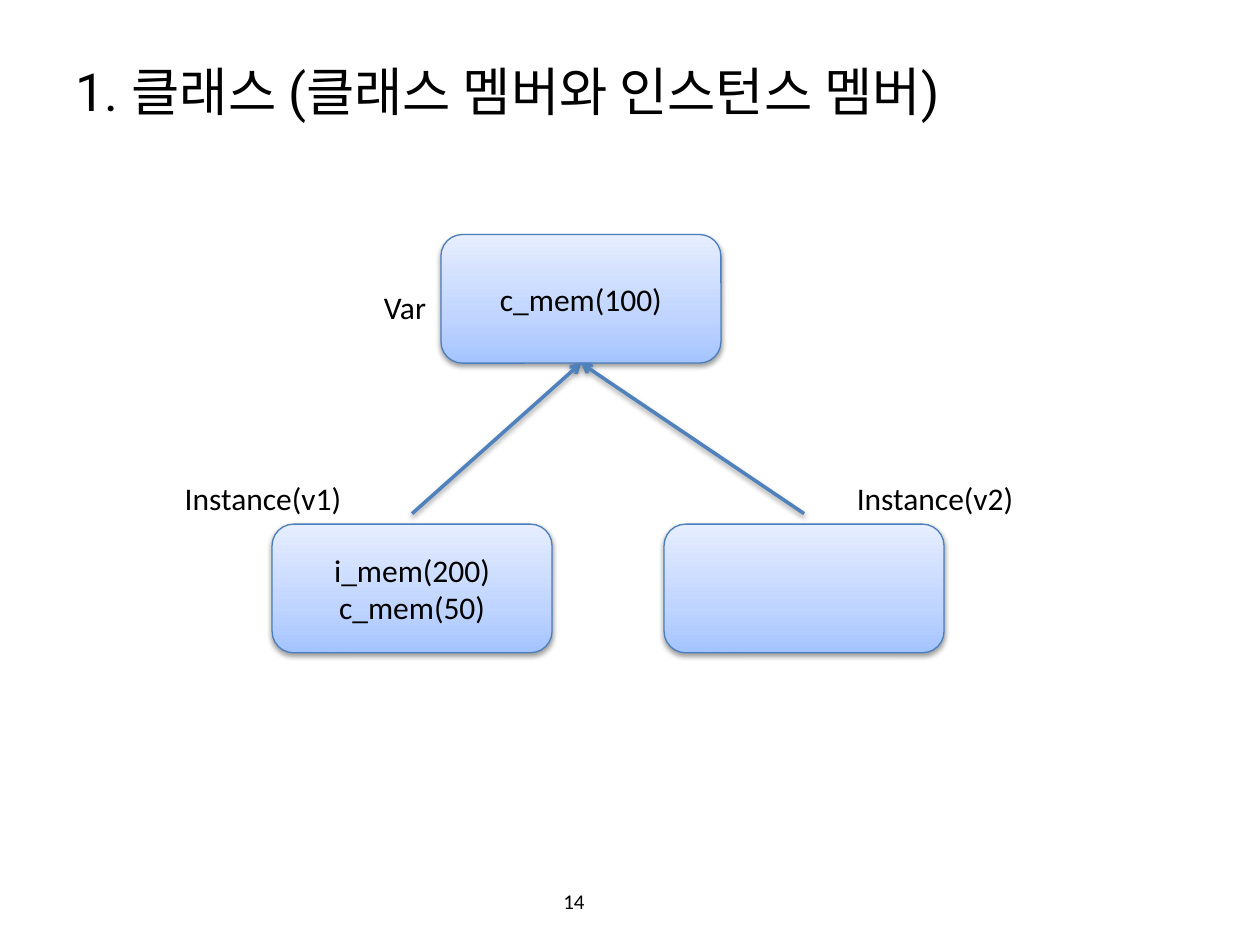
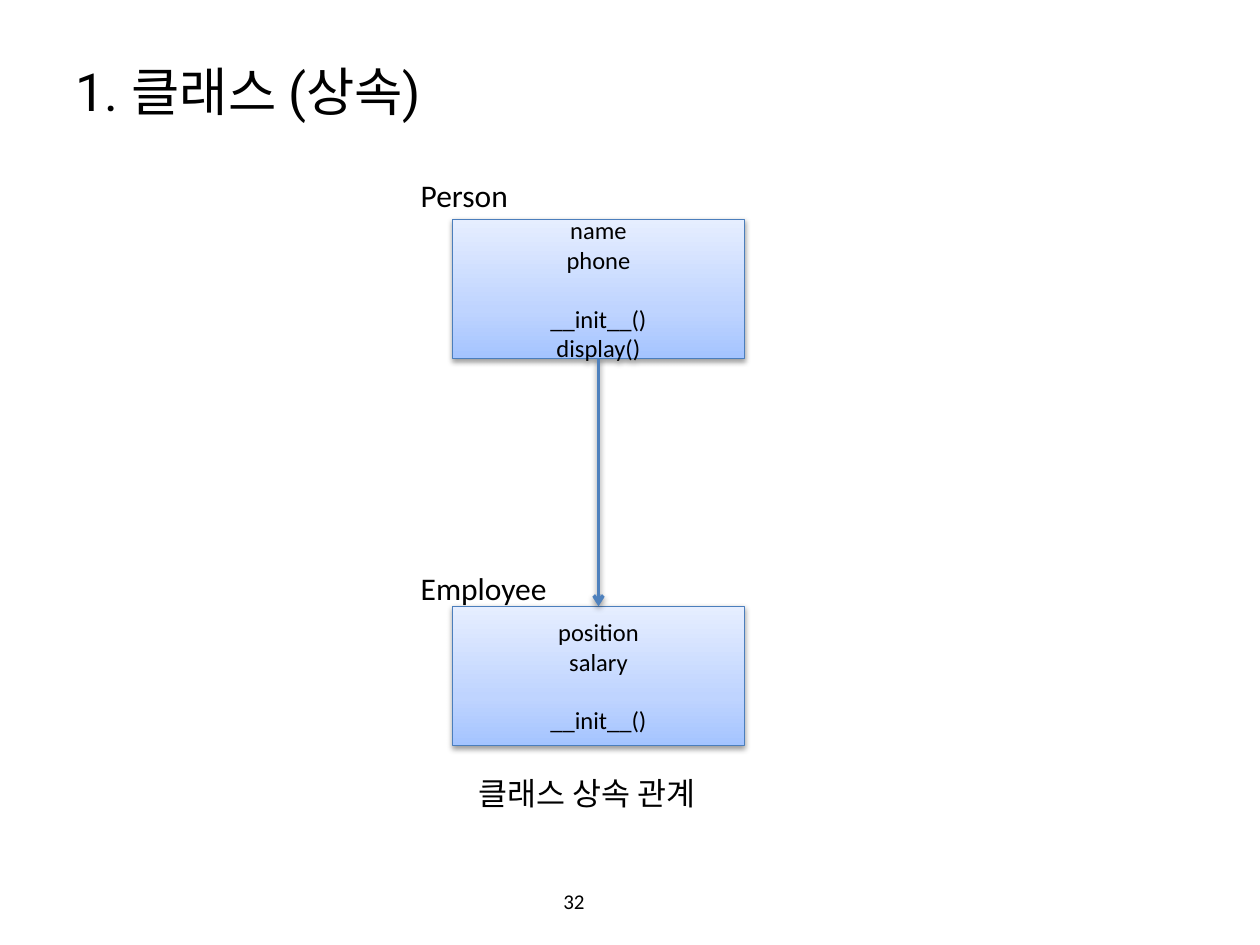
from dataclasses import dataclass

from lxml.etree import SubElement
from pptx import Presentation
from pptx.dml.color import RGBColor
from pptx.enum.shapes import MSO_CONNECTOR, MSO_SHAPE
from pptx.enum.text import MSO_ANCHOR, MSO_AUTO_SIZE, PP_ALIGN
from pptx.oxml import parse_xml
from pptx.oxml.ns import nsdecls, qn
from pptx.slide import Slide
from pptx.text.text import TextFrame
from pptx.util import Pt


# Theme shared by both slides
@dataclass(frozen=True)
class Theme:
    text: str = "000000"
    outline: str = "4B7EBC"
    arrow: str = "4F81BD"
    gradient: tuple = ((0, "A4C4FF"), (35, "BFD4FF"), (100, "E6EEFF"))
    title_font: str = "Roboto"
    body_font: str = "Calibri"
    title_size: float = 30
    label_size: float = 18
    member_size: float = 14
    number_size: float = 12
    outline_width: float = 0.75
    arrow_width: float = 2


THEME = Theme()


# Repeated elements; all lengths are in points
@dataclass(frozen=True)
class Area:
    left: float
    top: float
    width: float
    height: float

    @property
    def center(self) -> float:
        return self.left + self.width / 2

    @property
    def bottom(self) -> float:
        return self.top + self.height


@dataclass(frozen=True)
class Box:
    area: Area
    groups: tuple[tuple[str, ...], ...] = ()
    size: float = THEME.label_size
    shape_type: MSO_SHAPE = MSO_SHAPE.ROUNDED_RECTANGLE


@dataclass(frozen=True)
class Label:
    text: str
    left: float
    top: float
    width: float


TITLE_AREA = Area(36, 21.5, 648, 60.5)
NUMBER_AREA = Area(244, 500.5, 168, 28.8)
LABEL_HEIGHT = 29
LINE_SPACING = 1.2


# Text helpers
def add_text(frame: TextFrame, groups: tuple[tuple[str, ...], ...], size: float,
             font: str = THEME.body_font, alignment: PP_ALIGN = PP_ALIGN.LEFT) -> None:
    """Write one paragraph per line, with a line's gap between groups."""
    frame.word_wrap = True
    paragraph = None
    for group_index, group in enumerate(groups):
        for line_index, line in enumerate(group):
            paragraph = frame.add_paragraph() if paragraph else frame.paragraphs[0]
            paragraph.alignment = alignment
            if group_index and not line_index:
                paragraph.space_before = Pt(size * LINE_SPACING)
            run = paragraph.add_run()
            run.text = line
            run.font.name = font
            run.font.size = Pt(size)
            run.font.color.rgb = RGBColor.from_string(THEME.text)


def add_text_box(slide: Slide, area: Area) -> TextFrame:
    text_box = slide.shapes.add_textbox(
        Pt(area.left), Pt(area.top), Pt(area.width), Pt(area.height))
    return text_box.text_frame


def add_label(slide: Slide, label: Label) -> None:
    frame = add_text_box(slide, Area(label.left, label.top, label.width, LABEL_HEIGHT))
    add_text(frame, ((label.text,),), THEME.label_size)
    frame.auto_size = MSO_AUTO_SIZE.SHAPE_TO_FIT_TEXT


# Drawing helpers
def add_shadow(properties) -> None:
    for effects in properties.findall(qn("a:effectLst")):
        properties.remove(effects)
    properties.append(parse_xml(
        f'<a:effectLst {nsdecls("a")}>'
        '<a:outerShdw blurRad="40000" dist="20000" dir="5400000" rotWithShape="0">'
        '<a:srgbClr val="000000"><a:alpha val="38000"/></a:srgbClr>'
        '</a:outerShdw></a:effectLst>'))


def add_box(slide: Slide, box: Box) -> None:
    area = box.area
    shape = slide.shapes.add_shape(
        box.shape_type, Pt(area.left), Pt(area.top), Pt(area.width), Pt(area.height))
    shape.fill.gradient()
    shape.line.color.rgb = RGBColor.from_string(THEME.outline)
    shape.line.width = Pt(THEME.outline_width)

    properties = shape._element.spPr
    stops = "".join(
        f'<a:gs pos="{position * 1000}"><a:srgbClr val="{color}"/></a:gs>'
        for position, color in THEME.gradient)
    properties.replace(properties.find(qn("a:gradFill")), parse_xml(
        f'<a:gradFill {nsdecls("a")} rotWithShape="1"><a:gsLst>{stops}</a:gsLst>'
        '<a:lin ang="16200000" scaled="0"/></a:gradFill>'))
    add_shadow(properties)

    shape.text_frame.vertical_anchor = MSO_ANCHOR.MIDDLE
    add_text(shape.text_frame, box.groups, box.size, alignment=PP_ALIGN.CENTER)


def add_arrow(slide: Slide, start: tuple[float, float], end: tuple[float, float]) -> None:
    connector = slide.shapes.add_connector(
        MSO_CONNECTOR.STRAIGHT, *(Pt(value) for value in start + end))
    connector.line.color.rgb = RGBColor.from_string(THEME.arrow)
    connector.line.width = Pt(THEME.arrow_width)
    properties = connector._element.spPr
    SubElement(properties.find(qn("a:ln")), qn("a:tailEnd"), type="arrow")
    add_shadow(properties)


def add_base_slide(presentation: Presentation, title: str, number: int) -> Slide:
    """Add a blank slide with the shared title and page number."""
    slide = presentation.slides.add_slide(presentation.slide_layouts[6])
    for area, text, size, font, alignment in (
        (TITLE_AREA, title, THEME.title_size, THEME.title_font, PP_ALIGN.LEFT),
        (NUMBER_AREA, str(number), THEME.number_size, THEME.body_font, PP_ALIGN.CENTER),
    ):
        frame = add_text_box(slide, area)
        frame.vertical_anchor = MSO_ANCHOR.MIDDLE
        add_text(frame, ((text,),), size, font, alignment)
    return slide


# Slide: class members and instance members
def build_members_slide(presentation: Presentation) -> None:
    slide = add_base_slide(presentation, "1. 클래스 (클래스 멤버와 인스턴스 멤버)", 14)
    width, height, instance_top, arrow_gap = 160, 73.5, 299.5, 6
    class_area = Area(252, 134, width, height)
    first_instance = Area(155.5, instance_top, width, height)
    second_instance = Area(379.5, instance_top, width, height)

    add_box(slide, Box(class_area, (("c_mem(100)",),)))
    add_box(slide, Box(first_instance, (("i_mem(200)", "c_mem(50)"),)))
    add_box(slide, Box(second_instance))
    for instance in (first_instance, second_instance):
        add_arrow(slide, (instance.center, instance.top - arrow_gap),
                  (class_area.center, class_area.bottom))
    for label in (
        Label("Var", 212.3, 160.9, 40),
        Label("Instance(v1)", 98.5, 270.3, 114),
        Label("Instance(v2)", 482.5, 270.3, 114),
    ):
        add_label(slide, label)


# Slide: inheritance
def build_inheritance_slide(presentation: Presentation) -> None:
    slide = add_base_slide(presentation, "1. 클래스 (상속)", 32)
    left, width, height = 258.5, 167, 79.5
    person = Area(left, 125.3, width, height)
    employee = Area(left, 346.5, width, height)

    for area, groups in (
        (person, (("name", "phone"), ("__init__()", "display()"))),
        (employee, (("position", "salary"), ("__init__()",))),
    ):
        add_box(slide, Box(area, groups, THEME.member_size, MSO_SHAPE.RECTANGLE))
    add_arrow(slide, (person.center, person.bottom), (employee.center, employee.top))
    for label in (
        Label("Employee", 233.3, 321.8, 93),
        Label("Person", 233.3, 97.2, 93),
        Label("클래스 상속 관계", 266.4, 438.5, 160),
    ):
        add_label(slide, label)


def main() -> None:
    presentation = Presentation()
    presentation.slide_width = Pt(720)
    presentation.slide_height = Pt(540)
    build_members_slide(presentation)
    build_inheritance_slide(presentation)
    presentation.save("out.pptx")


if __name__ == "__main__":
    main()
